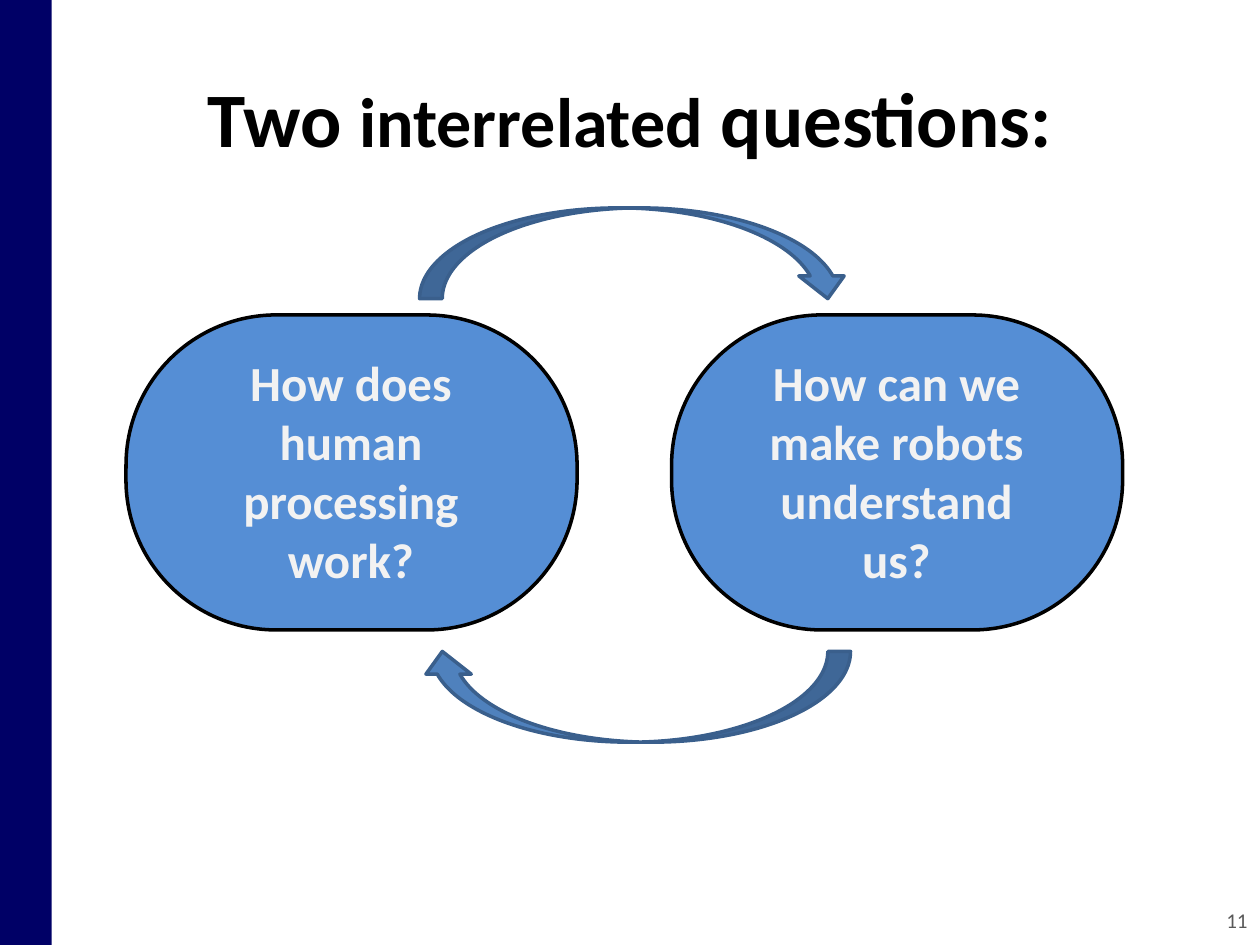
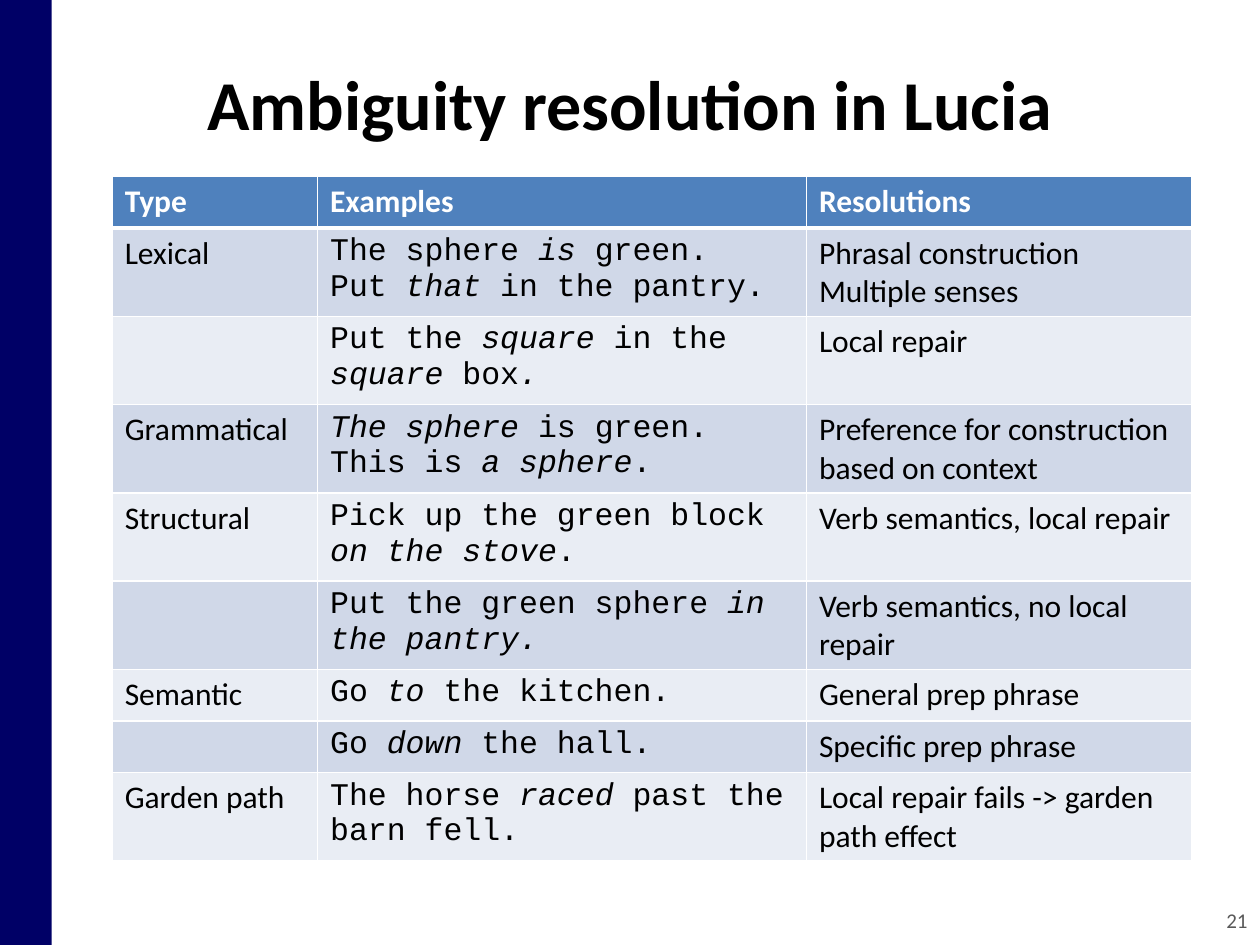
import pptx
import pptx.dml.color
import pptx.enum.shapes
import pptx.enum.text
import pptx.oxml.ns
import pptx.util
from lxml import etree
from pptx.util import Inches

COLORS = {
    "band": "000066", "title": "000000", "number": "595959",
    "pill": "558ED5", "pill_line": "000000", "pill_text": "F2F2F2",
    "arrow": "4F81BD", "arrow_line": "3A5F8C",
    "header": "4F81BD", "header_text": "FFFFFF", "border": "FFFFFF",
    "odd_row": "D0D8E8", "even_row": "E9EDF4", "cell_text": "000000",
}
SANS, MONO = "Calibri", "Courier New"
SHAPE = pptx.enum.shapes.MSO_SHAPE
ALIGN = pptx.enum.text.PP_ALIGN
ANCHOR = pptx.enum.text.MSO_ANCHOR


def rgb(name):
    return pptx.dml.color.RGBColor.from_string(COLORS[name])


class Deck:
    def __init__(self):
        self.prs = pptx.Presentation()
        self.prs.slide_width, self.prs.slide_height = Inches(10), Inches(7.5)
        self.s = None

    def slide(self, number):
        """Start a slide with the side band and its number."""
        self.s = self.prs.slides.add_slide(self.prs.slide_layouts[6])
        self.shape(SHAPE.RECTANGLE, 0, 0, 0.41, 7.5, "band")
        self.text([(str(number), 12)], 7.67, 7.1, 2.33, 0.4, "number", align=ALIGN.RIGHT)

    def title(self, parts, height):
        self.text(parts, 0.5, 0.3, 9, height, "title", bold=True)

    def shape(self, kind, x, y, w, h, fill, line=None, parent=None):
        sp = (parent or self.s).shapes.add_shape(kind, Inches(x), Inches(y), Inches(w), Inches(h))
        sp.shadow.inherit = False
        sp.fill.solid()
        sp.fill.fore_color.rgb = rgb(fill)
        if line:
            sp.line.color.rgb = rgb(line)
            sp.line.width = pptx.util.Pt(2)
        else:
            sp.line.fill.background()
        return sp

    def text(self, parts, x, y, w, h, color, bold=False, align=ALIGN.CENTER,
             anchor=ANCHOR.MIDDLE, parent=None):
        """Add a one-paragraph box from (text, size) parts."""
        sp = (parent or self.s).shapes.add_textbox(Inches(x), Inches(y), Inches(w), Inches(h))
        tf = sp.text_frame
        tf.word_wrap = True
        tf.vertical_anchor = anchor
        p = tf.paragraphs[0]
        p.alignment = align
        for words, size in parts:
            self.run(p, words, size, color, bold)
        return sp

    def run(self, p, words, size, color, bold=False, italic=False, face=SANS):
        r = p.add_run()
        r.text = words
        r.font.size = pptx.util.Pt(size)
        r.font.name = face
        r.font.bold, r.font.italic = bold, italic
        r.font.color.rgb = rgb(color)

    def pill(self, question, x):
        """Group a rounded pill with its question."""
        group = self.s.shapes.add_group_shape()

        class Parent:
            shapes = group.shapes

        sp = self.shape(SHAPE.ROUNDED_RECTANGLE, x, 2.5, 3.58, 2.5, "pill", "pill_line", Parent)
        sp.adjustments[0] = 0.477
        label = self.text([(question, 28)], x + 0.5, 2.75, 2.57, 1.99, "pill_text",
                          bold=True, anchor=ANCHOR.TOP, parent=Parent)
        label.fill.solid()
        label.fill.fore_color.rgb = rgb("pill")

    def arrow(self, y, rotation=0):
        sp = self.shape(SHAPE.CURVED_DOWN_ARROW, 3.33, y, 3.42, 0.72, "arrow", "arrow_line")
        sp.rotation = rotation

    def borders(self, cell, widths):
        tc_pr = cell._tc.get_or_add_tcPr()
        for side, width in widths.items():
            ln = etree.SubElement(tc_pr, pptx.oxml.ns.qn("a:ln" + side), w=str(pptx.util.Pt(width)))
            fill = etree.SubElement(ln, pptx.oxml.ns.qn("a:solidFill"))
            etree.SubElement(fill, pptx.oxml.ns.qn("a:srgbClr"), val=COLORS["border"])

    def table(self, rows, x, y, col_widths, row_height, mono_col):
        """Add a banded table; *stars* mark italics and line breaks split paragraphs."""
        tbl = self.s.shapes.add_table(
            len(rows), len(col_widths), Inches(x), Inches(y),
            Inches(sum(col_widths)), Inches(row_height * len(rows))).table
        tbl.horz_banding = False
        for col, width in zip(tbl.columns, col_widths):
            col.width = Inches(width)
        for i, row in enumerate(rows):
            tbl.rows[i].height = Inches(row_height)
            header = i == 0
            fill = "header" if header else ("odd_row" if i % 2 else "even_row")
            color = "header_text" if header else "cell_text"
            for j, content in enumerate(row):
                cell = tbl.cell(i, j)
                self.borders(cell, {"L": 1, "R": 1, "T": 3 if i == 1 else 1,
                                    "B": 3 if header else 1})
                cell.fill.solid()
                cell.fill.fore_color.rgb = rgb(fill)
                face = MONO if j == mono_col and not header else SANS
                tf = cell.text_frame
                for n, line in enumerate(content.split("\n")):
                    p = tf.add_paragraph() if n else tf.paragraphs[0]
                    for k, words in enumerate(line.split("*")):
                        if words:
                            self.run(p, words, 18, color, header, k % 2 == 1, face)


AMBIGUITIES = [
    ("Type", "Examples", "Resolutions"),
    ("Lexical", "The sphere *is* green.\nPut *that* in the pantry.",
     "Phrasal construction\nMultiple senses"),
    ("", "Put the *square* in the *square *box*.*", "Local repair"),
    ("Grammatical", "*The sphere* is green.\nThis is *a sphere*.",
     "Preference for construction based on context"),
    ("Structural", "Pick up the green block *on the stove*.", "Verb semantics, local repair"),
    ("", "Put the green sphere *in the pantry.*", "Verb semantics, no local repair"),
    ("Semantic", "Go *to* the kitchen.", "General prep phrase"),
    ("", "Go *down* the hall.", "Specific prep phrase"),
    ("Garden path", "The horse *raced* past the barn fell.",
     "Local repair fails -> garden path effect"),
]


def main():
    deck = Deck()

    # Two questions feeding each other
    deck.slide(11)
    deck.title([("Two ", 44), ("interrelated", 40), (" questions:", 44)], 1.25)
    deck.pill("How does human processing work?", 1)
    deck.pill("How can we make robots understand us?", 5.33)
    deck.arrow(1.65)
    deck.arrow(5.17, rotation=180)

    # Ambiguity table
    deck.slide(21)
    deck.title([("Ambiguity resolution in Lucia", 40)], 1.03)
    deck.table(AMBIGUITIES, 0.89, 1.4, (1.63, 3.88, 3.06), 0.41, mono_col=1)

    deck.prs.save("out.pptx")


if __name__ == "__main__":
    main()
